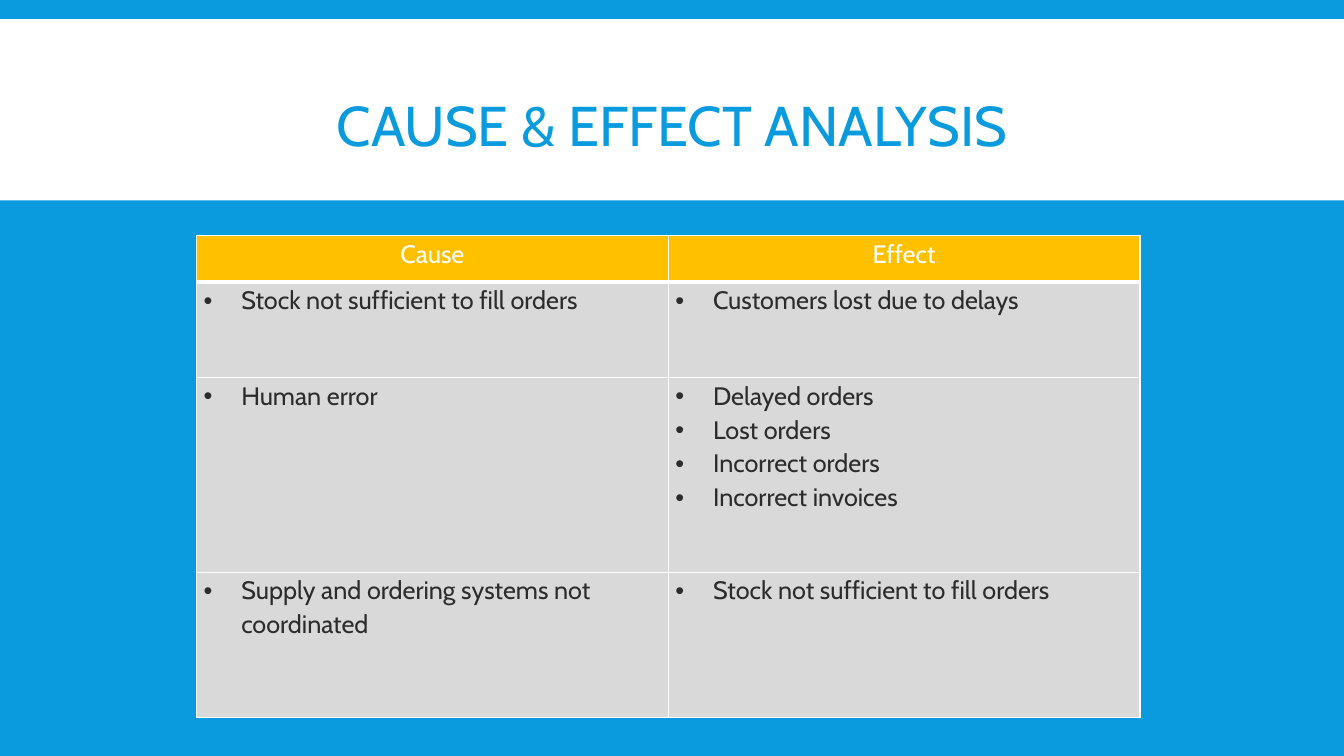
"""Build the cause and effect analysis slide with its two-column table."""
from dataclasses import dataclass

from lxml.etree import SubElement
from pptx import Presentation
from pptx.dml.color import RGBColor as Rgb
from pptx.enum.shapes import MSO_SHAPE as Preset
from pptx.enum.text import MSO_ANCHOR as Anchor, MSO_AUTO_SIZE as AutoSize, PP_ALIGN as Align
from pptx.oxml import parse_xml
from pptx.oxml.ns import nsdecls, qn
from pptx.util import Cm, Pt


@dataclass(frozen=True)
class Theme:
    font: str = "Cabin"
    blue: str = "099BDD"
    white: str = "FFFFFF"
    amber: str = "FFC000"
    grey: str = "D9D9D9"
    ink: str = "2C2C2C"
    title_size: int = 40
    table_size: int = 18


theme = Theme()


def style_paragraph(paragraph, size, color, spacing):
    paragraph.line_spacing = spacing
    for run in paragraph.runs:
        run.font.name = theme.font
        run.font.size = Pt(size)
        run.font.bold = False
        run.font.color.rgb = Rgb.from_string(color)


def add_borders(cell, bottom_width):
    properties = cell._tc.get_or_add_tcPr()
    widths = {"lnL": 1, "lnR": 1, "lnT": 1, "lnB": bottom_width}
    for position, (side, width) in enumerate(widths.items()):
        border = parse_xml(
            f'<a:{side} {nsdecls("a")} w="{Pt(width)}"><a:solidFill>'
            f'<a:srgbClr val="{theme.white}"/></a:solidFill></a:{side}>'
        )
        properties.insert(position, border)


deck = Presentation()
deck.slide_width, deck.slide_height = Cm(33.87), Cm(19.05)
slide = deck.slides.add_slide(deck.slide_layouts[5])
slide.background.fill.solid()
slide.background.fill.fore_color.rgb = Rgb.from_string(theme.blue)

heading = slide.shapes.title
heading.left, heading.top = Cm(3.18), Cm(1.7)
heading.width, heading.height = Cm(27.5), Cm(3.12)
heading.text_frame.text = "CAUSE & EFFECT ANALYSIS"
heading.text_frame.auto_size = AutoSize.NONE
heading.text_frame.vertical_anchor = Anchor.MIDDLE
heading_line = heading.text_frame.paragraphs[0]
heading_line.alignment = Align.CENTER
style_paragraph(heading_line, theme.title_size, theme.blue, 0.85)

heading_band = slide.shapes.add_shape(Preset.RECTANGLE, 0, Cm(0.48), deck.slide_width, Cm(4.57))
heading_band.shadow.inherit = False
heading_band.fill.solid()
heading_band.fill.fore_color.rgb = Rgb.from_string(theme.white)
heading_band.line.fill.background()
heading.element.addprevious(heading_band.element)

analysis = [
    (1.17, ["Cause"], ["Effect"]),
    (2.41, ["Stock not sufficient to fill orders"], ["Customers lost due to delays"]),
    (4.9, ["Human error"],
     ["Delayed orders", "Lost orders", "Incorrect orders", "Incorrect invoices"]),
    (3.66, ["Supply and ordering systems not coordinated"],
     ["Stock not sufficient to fill orders"]),
]
table_height = sum(height for height, *_ in analysis)
cause_effect = slide.shapes.add_table(
    len(analysis), 2, Cm(4.95), Cm(5.94), Cm(23.78), Cm(table_height)
).table
cause_effect.horz_banding = False

for row, (height, *entries) in enumerate(analysis):
    cause_effect.rows[row].height = Cm(height)
    is_header = row == 0
    for column, points in enumerate(entries):
        cell = cause_effect.cell(row, column)
        cell.margin_left = cell.margin_right = Cm(0.18)
        cell.margin_top = cell.margin_bottom = 0
        cell.fill.solid()
        cell.fill.fore_color.rgb = Rgb.from_string(theme.amber if is_header else theme.grey)
        add_borders(cell, 3 if is_header else 1)
        cell.text_frame.text = "\n".join(points)
        for paragraph in cell.text_frame.paragraphs:
            style_paragraph(paragraph, theme.table_size, theme.white if is_header else theme.ink, 1.1)
            if is_header:
                paragraph.alignment = Align.CENTER
                continue
            settings = paragraph._p.get_or_add_pPr()
            settings.set("marL", str(Cm(0.95)))
            settings.set("indent", str(-Cm(0.95)))
            SubElement(settings, qn("a:buFont")).set("typeface", "Arial")
            SubElement(settings, qn("a:buChar")).set("char", "•")

deck.save("out.pptx")
